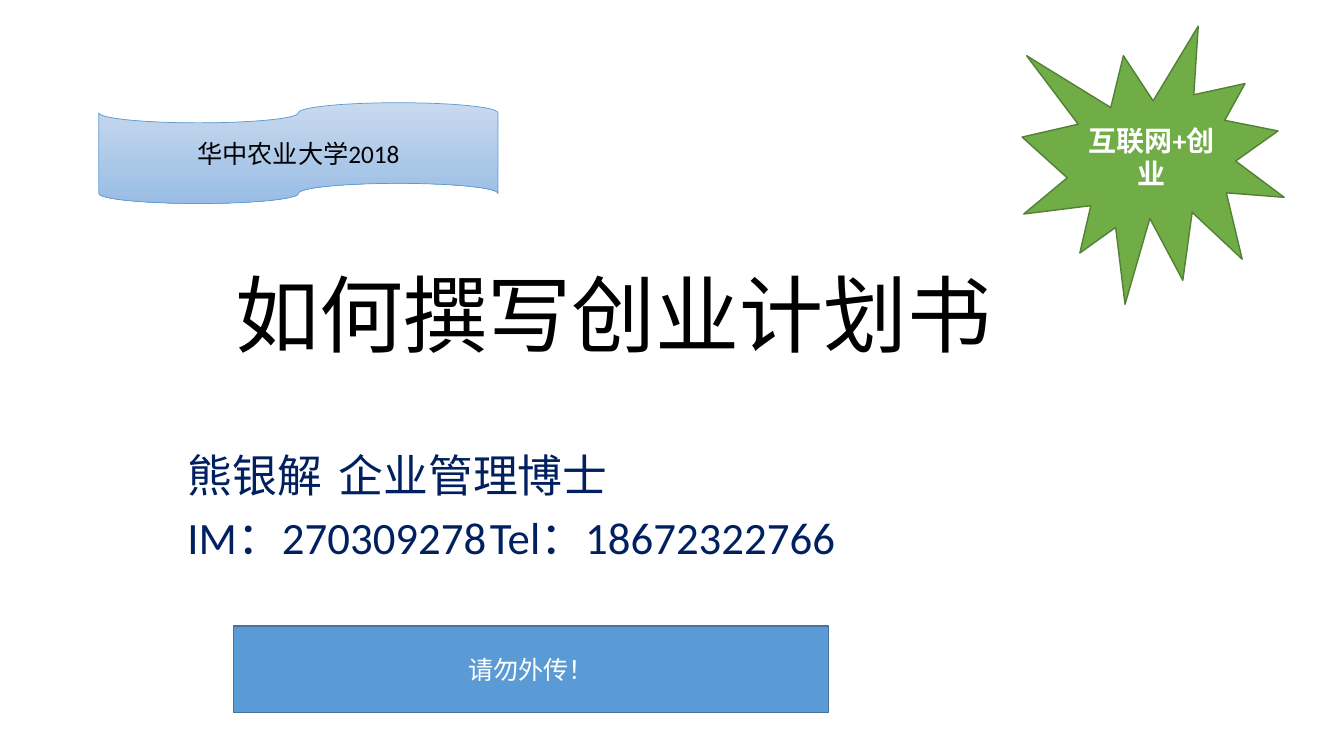
import pptx
import pptx.dml.color
import pptx.enum.shapes
import pptx.enum.text
import pptx.oxml.ns
import pptx.util
from lxml import etree

Pt = pptx.util.Pt
SHAPES = pptx.enum.shapes.MSO_SHAPE
ALIGN = pptx.enum.text.PP_ALIGN
ANCHOR = pptx.enum.text.MSO_ANCHOR
FONT = "Calibri"
COLORS = {
    "black": "000000",
    "white": "FFFFFF",
    "navy": "002060",
    "blue": "5B9BD5",
    "blue_edge": "43739E",
    "tape_top": "C7D9EE",
    "tape_bottom": "9ABDE5",
    "green": "70AD47",
    "green_edge": "538035",
}


def rgb(name):
    return pptx.dml.color.RGBColor.from_string(COLORS[name])


def place(shape, box):
    shape.left, shape.top, shape.width, shape.height = (Pt(length) for length in box)


def format_paragraph(paragraph, size, color, alignment=ALIGN.CENTER, bold=False):
    paragraph.alignment = alignment
    for run in paragraph.runs:
        run.font.name = FONT
        run.font.size = Pt(size)
        run.font.bold = bold
        run.font.color.rgb = rgb(color)


def set_tab_stops(paragraph, positions):
    properties = paragraph._p.get_or_add_pPr()
    properties.set("marL", "0")
    properties.set("indent", "0")
    tab_list = etree.SubElement(properties, pptx.oxml.ns.qn("a:tabLst"))
    for position in positions:
        etree.SubElement(tab_list, pptx.oxml.ns.qn("a:tab"), pos=str(Pt(position)), algn="l")


def fill_title(slide, box):
    title = slide.shapes.title
    place(title, box)
    frame = title.text_frame
    frame.text = "如何撰写创业计划书"
    frame.auto_size = pptx.enum.text.MSO_AUTO_SIZE.NONE
    frame.vertical_anchor = ANCHOR.BOTTOM
    frame.paragraphs[0].line_spacing = 0.9
    format_paragraph(frame.paragraphs[0], 60, "black")


def fill_author(slide, box):
    author = slide.placeholders[1]
    place(author, box)
    frame = author.text_frame
    frame.auto_size = pptx.enum.text.MSO_AUTO_SIZE.NONE
    frame.vertical_anchor = ANCHOR.TOP
    lines = [
        ("\t熊银解\t企业管理博士", (195, 312)),
        ("\tIM：270309278\tTel：18672322766", (42, 394)),
    ]
    frame.text = "\n".join(text for text, stops in lines)
    for paragraph, (text, stops) in zip(frame.paragraphs, lines):
        paragraph.line_spacing = 0.9
        paragraph.space_before = Pt(10)
        format_paragraph(paragraph, 32, "navy", ALIGN.LEFT)
        set_tab_stops(paragraph, stops)


def add_label(slide, kind, box, text, size, color, edge, edge_width, bold=False):
    label = slide.shapes.add_shape(kind, *(Pt(length) for length in box))
    label.shadow.inherit = False
    label.line.color.rgb = rgb(edge)
    label.line.width = Pt(edge_width)
    frame = label.text_frame
    frame.text = text
    frame.word_wrap = True
    frame.vertical_anchor = ANCHOR.MIDDLE
    format_paragraph(frame.paragraphs[0], size, color, bold=bold)
    return label


def add_university_tape(slide, box):
    tape = add_label(slide, SHAPES.FLOWCHART_PUNCHED_TAPE, box, "华中农业大学2018",
                     18, "black", "blue", 0.5)
    tape.fill.gradient()
    tape.fill.gradient_angle = 270
    for stop, position, color in zip(tape.fill.gradient_stops, (0, 1), ("tape_top", "tape_bottom")):
        stop.position = position
        stop.color.rgb = rgb(color)


def add_burst(slide, box):
    burst = add_label(slide, SHAPES.EXPLOSION1, box, "互联网+创业",
                      20, "white", "green_edge", 1, bold=True)
    burst.fill.solid()
    burst.fill.fore_color.rgb = rgb("green")


def add_notice(slide, box):
    notice = add_label(slide, SHAPES.RECTANGLE, box, "请勿外传！", 18, "white", "blue_edge", 1)
    notice.fill.solid()
    notice.fill.fore_color.rgb = rgb("blue")


def build_title_slide(presentation):
    slide = presentation.slides.add_slide(presentation.slide_layouts[0])
    fill_title(slide, (90.7, 165.6, 694.8, 98.6))
    fill_author(slide, (90.7, 320.4, 712.8, 167))
    add_university_tape(slide, (70.6, 73.4, 285.1, 72))
    add_burst(slide, (730.1, 18.7, 187.2, 198.7))
    add_notice(slide, (167, 447.1, 424.8, 61.9))


def main():
    presentation = pptx.Presentation()
    presentation.slide_width = Pt(960)
    presentation.slide_height = Pt(540)
    build_title_slide(presentation)
    presentation.save("out.pptx")


if __name__ == "__main__":
    main()
